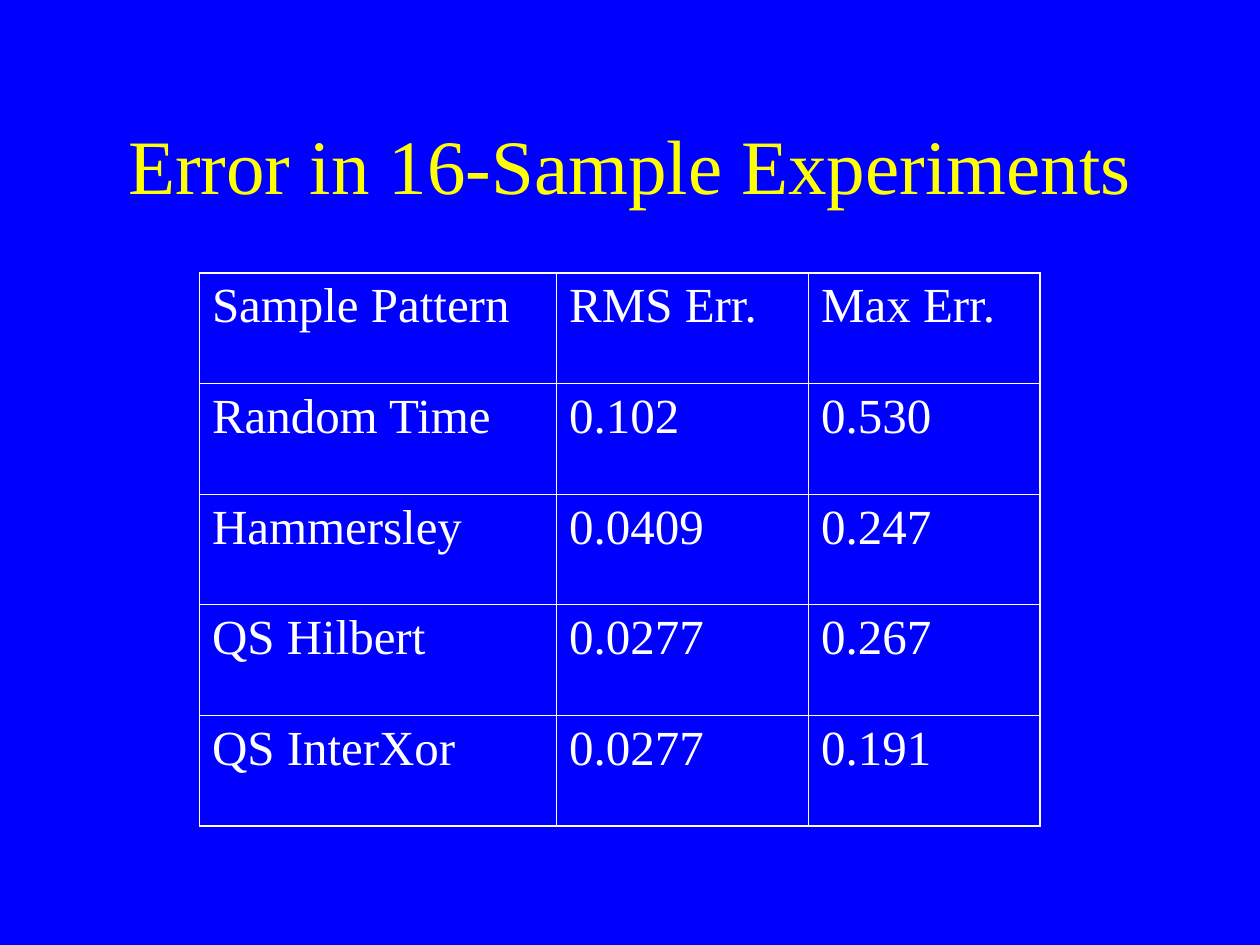
"""Build a slide with a table of errors in 16-sample experiments."""
import pptx
import pptx.dml.color
import pptx.enum.text
import pptx.oxml
import pptx.oxml.ns
import pptx.util
from pptx.util import Cm

BLUE = pptx.dml.color.RGBColor(0x00, 0x00, 0xFF)
YELLOW = pptx.dml.color.RGBColor(0xFF, 0xFF, 0x00)
WHITE = pptx.dml.color.RGBColor(0xFF, 0xFF, 0xFF)
THICK, THIN = 1.08, 0.45


def write(tf, text, *, size, color, align, anchor):
    tf.vertical_anchor = anchor
    p = tf.paragraphs[0]
    p.alignment = align
    r = p.add_run()
    r.text = text
    r.font.name = "Times New Roman"
    r.font.size = pptx.util.Pt(size)
    r.font.color.rgb = color


def add_border(cell, side, width):
    ln = pptx.oxml.parse_xml(
        f'<a:ln{side} {pptx.oxml.ns.nsdecls("a")} w="{pptx.util.Pt(width)}">'
        f'<a:solidFill><a:srgbClr val="{WHITE}"/></a:solidFill></a:ln{side}>'
    )
    cell._tc.get_or_add_tcPr().append(ln)


prs = pptx.Presentation()
prs.slide_width, prs.slide_height = Cm(25.4), Cm(19.05)
slide = prs.slides.add_slide(prs.slide_layouts[5])
slide.background.fill.solid()
slide.background.fill.fore_color.rgb = BLUE

title = slide.shapes.title
title.left, title.top = Cm(1.9), Cm(1.7)
title.width, title.height = Cm(21.6), Cm(3.18)
title.text_frame.auto_size = pptx.enum.text.MSO_AUTO_SIZE.NONE
write(title.text_frame, "Error in 16-Sample Experiments", size=44, color=YELLOW,
      align=pptx.enum.text.PP_ALIGN.CENTER, anchor=pptx.enum.text.MSO_ANCHOR.MIDDLE)

rows = [
    ("Sample Pattern", "RMS Err.", "Max Err."),
    ("Random Time", "0.102", "0.530"),
    ("Hammersley", "0.0409", "0.247"),
    ("QS Hilbert", "0.0277", "0.267"),
    ("QS InterXor", "0.0277", "0.191"),
]
widths = [7.2, 5.08, 4.66]
row_height = 2.23
last_row, last_col = len(rows) - 1, len(widths) - 1

frame = slide.shapes.add_table(len(rows), len(widths), Cm(4.02), Cm(5.5),
                               Cm(sum(widths)), Cm(row_height * len(rows)))
table = frame.table
table.first_row = table.horz_banding = False
for col, width in zip(table.columns, widths):
    col.width = Cm(width)

for i, row in enumerate(rows):
    table.rows[i].height = Cm(row_height)
    for j, text in enumerate(row):
        cell = table.cell(i, j)
        write(cell.text_frame, text, size=28, color=WHITE,
              align=pptx.enum.text.PP_ALIGN.LEFT, anchor=pptx.enum.text.MSO_ANCHOR.TOP)
        outer = {"L": j == 0, "R": j == last_col, "T": i == 0, "B": i == last_row}
        for side, is_outer in outer.items():
            add_border(cell, side, THICK if is_outer else THIN)
        cell.fill.background()

prs.save("out.pptx")
